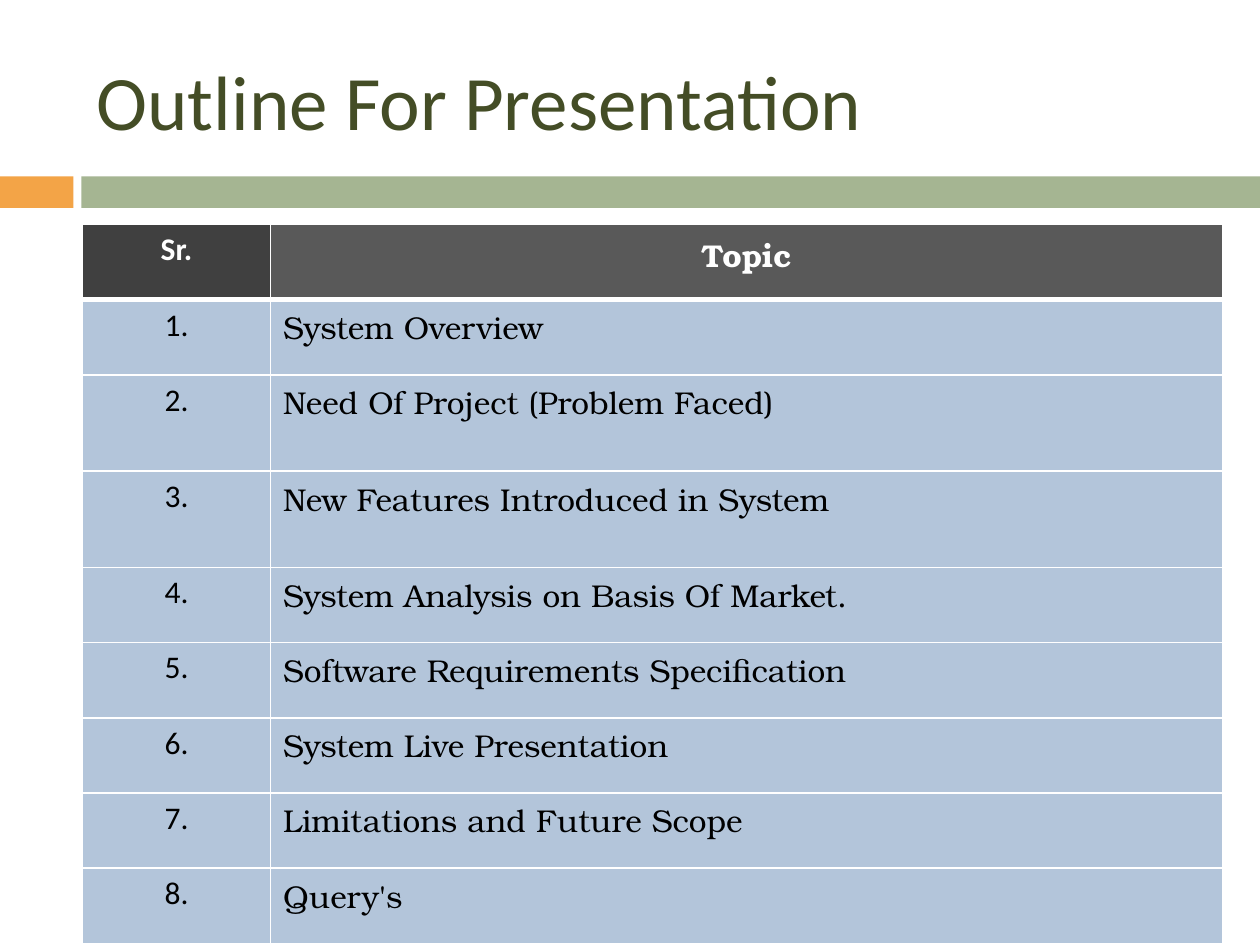
from pptx import Presentation, util as u
from pptx.dml.color import RGBColor
from pptx.enum import shapes, text
from pptx.oxml import parse_xml
from pptx.oxml.ns import nsdecls

Pt = u.Pt
theme = dict(title="444D26", orange="F3A447", green="A5B592", white="FFFFFF",
             black="000000", head=("404040", "595959"), body="B3C5DA",
             fonts=("Calibri", "TeX Gyre Bonum"), title_size=44, cell_size=18)


def style(font, name, size, color, bold=False):
    font.name, font.size, font.bold = name, Pt(size), bold
    font.color.rgb = RGBColor.from_string(color)


def border(cell, side, width):
    ln = parse_xml(f'<a:{side} {nsdecls("a")} w="{Pt(width)}"><a:solidFill>'
                   f'<a:srgbClr val="{theme["white"]}"/></a:solidFill></a:{side}>')
    # Borders precede the fill in the cell properties
    cell._tc.get_or_add_tcPr().insert(("lnL", "lnR", "lnT", "lnB").index(side), ln)


prs = Presentation()
prs.slide_width, prs.slide_height = Pt(720), Pt(540)
s = prs.slides.add_slide(prs.slide_layouts[5])

# Divider bars
for left, width, color in ((0, 42, theme["orange"]), (46.5, 673.5, theme["green"])):
    sp = s.shapes.add_shape(shapes.MSO_SHAPE.RECTANGLE, Pt(left), Pt(100.8), Pt(width), Pt(18))
    sp.shadow.inherit = False
    sp.fill.solid()
    sp.fill.fore_color.rgb = RGBColor.from_string(color)
    sp.line.fill.background()

# Title
title = s.shapes.title
title.left, title.top, title.width, title.height = Pt(48), Pt(18), Pt(642), Pt(78)
tf = title.text_frame
tf.text = "Outline For Presentation"
tf.vertical_anchor = text.MSO_ANCHOR.MIDDLE
p = tf.paragraphs[0]
p.alignment = text.PP_ALIGN.LEFT
style(p.font, theme["fonts"][0], theme["title_size"], theme["title"])

# Topic table
topics = ["System Overview", "Need Of Project (Problem Faced)",
          "New Features Introduced in System", "System Analysis on Basis Of Market.",
          "Software Requirements Specification", "System Live Presentation",
          "Limitations and Future Scope", "Query's"]
rows = [("Sr.", "Topic")] + [(f"{n}.", topic) for n, topic in enumerate(topics, 1)]
tall_rows = (2, 3)
heights = [55 if i in tall_rows else 43 for i in range(len(rows))]
table = s.shapes.add_table(len(rows), 2, Pt(47.2), Pt(128.3), Pt(651.4), Pt(sum(heights))).table
for column, width in zip(table.columns, (107.4, 544)):
    column.width = Pt(width)

for i, (row, height) in enumerate(zip(rows, heights)):
    table.rows[i].height = Pt(height)
    header = i == 0
    for j, value in enumerate(row):
        cell = table.cell(i, j)
        cell.text = value
        p = cell.text_frame.paragraphs[0]
        p.alignment = text.PP_ALIGN.CENTER if header or j == 0 else text.PP_ALIGN.LEFT
        style(p.font, theme["fonts"][j], theme["cell_size"],
              theme["white"] if header else theme["black"], header)
        cell.fill.solid()
        cell.fill.fore_color.rgb = RGBColor.from_string(theme["head"][j] if header else theme["body"])
        for side in ("lnL", "lnR", "lnT", "lnB"):
            thick = (header and side == "lnB") or (i == 1 and side == "lnT")
            border(cell, side, 3 if thick else 1)

prs.save("out.pptx")
